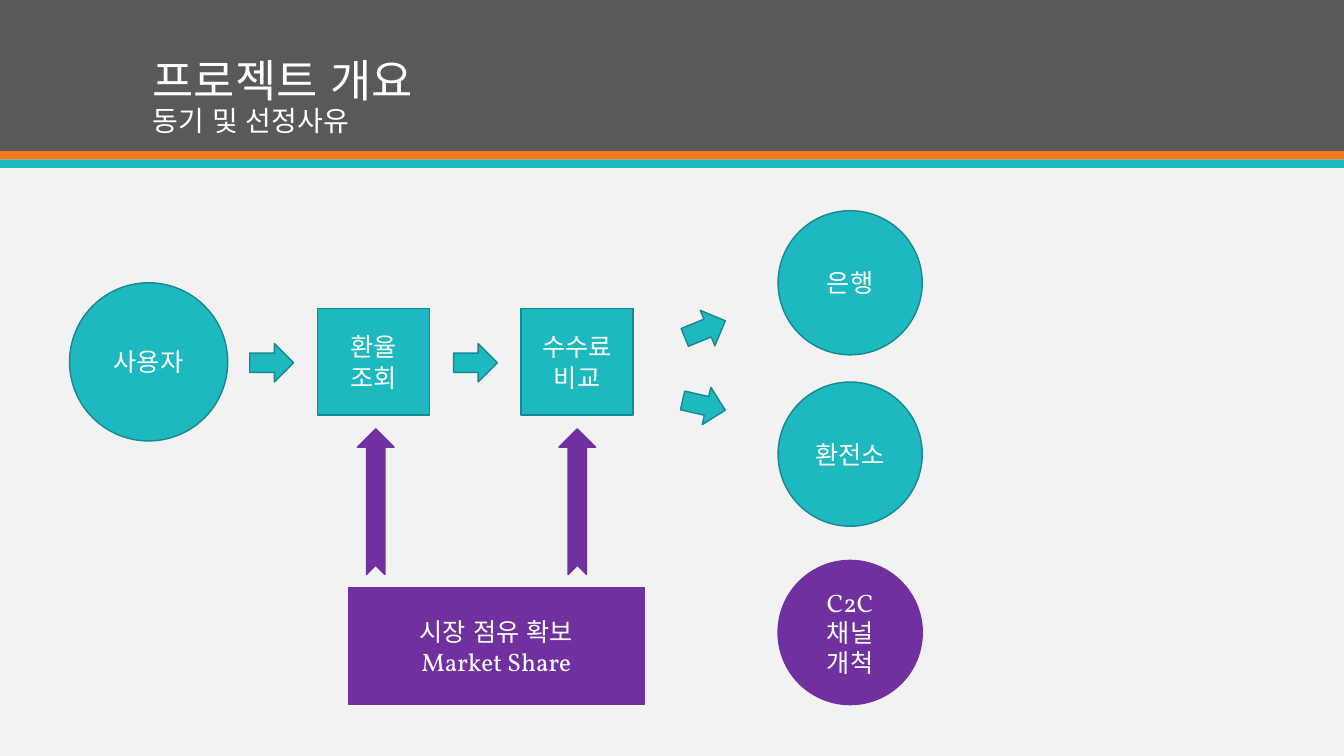
import pptx
import pptx.util
import pptx.dml.color
import pptx.enum.shapes
import pptx.enum.text
import pptx.enum.lang
import pptx.oxml.ns
import lxml.etree

Pt = pptx.util.Pt
SHAPE = pptx.enum.shapes.MSO_SHAPE
ALIGN = pptx.enum.text.PP_ALIGN
ANCHOR = pptx.enum.text.MSO_ANCHOR
TEAL, TEAL_EDGE, PURPLE = "1EB8C1", "16888F", "7030A0"
KOREAN_FONT = "Noto Sans CJK KR"

presentation = pptx.Presentation()
presentation.slide_width, presentation.slide_height = Pt(960), Pt(540)
slide = presentation.slides.add_slide(presentation.slide_layouts[6])


def paint(target, color, edge=None):
    """Give a fill or a shape its solid colour, and a shape its outline."""
    fill = getattr(target, "fill", target)
    fill.solid()
    fill.fore_color.rgb = pptx.dml.color.RGBColor.from_string(color)
    if edge:
        target.line.width = Pt(1)
        paint(target.line.fill, edge)
    elif fill is not target:
        target.line.fill.background()


def write(frame, text, size=18, font="Vollkorn", align=ALIGN.CENTER,
          anchor=ANCHOR.MIDDLE, spacing=None, sub=None, sub_size=None):
    """Write one paragraph per line; sub follows after a line break."""
    frame.word_wrap = True
    frame.vertical_anchor = anchor
    for number, line in enumerate(text.split("\n")):
        paragraph = frame.add_paragraph() if number else frame.paragraphs[0]
        paragraph.alignment = align
        paragraph.line_spacing = spacing
        parts = [(line, size)] + ([(sub, sub_size)] if sub else [])
        for position, (words, points) in enumerate(parts):
            if position:
                paragraph.add_line_break()
            run = paragraph.add_run()
            run.text = words
            run.font.size = Pt(points)
            run.font.name = font
            run.font.language_id = pptx.enum.lang.MSO_LANGUAGE_ID.KOREAN
            paint(run.font.fill, "FFFFFF")
            # East Asian typeface for the Korean letters
            east_asian = lxml.etree.Element(pptx.oxml.ns.qn("a:ea"), typeface=KOREAN_FONT)
            run.font._element.find(pptx.oxml.ns.qn("a:latin")).addnext(east_asian)


# Background and header bands
paint(slide.background.fill, "F2F2F2")
for top, height, color in [(0, 108, "595959"), (108, 6, "EF7920"), (114, 6, TEAL)]:
    band = slide.shapes.add_shape(SHAPE.RECTANGLE, 0, Pt(top), Pt(960), Pt(height))
    band.shadow.inherit = False
    paint(band, color)

# Title
title = slide.shapes.add_textbox(Pt(102), Pt(20), Pt(756), Pt(81.5))
write(title.text_frame, "프로젝트 개요", size=32, font=KOREAN_FONT, align=ALIGN.LEFT,
      anchor=ANCHOR.BOTTOM, spacing=0.9, sub="동기 및 선정사유", sub_size=20)

# Steps, parties and goals: kind, left, top, width, height, colours, text
nodes = [
    (SHAPE.RECTANGLE, 226.8, 220.3, 80, 76.3, TEAL, TEAL_EDGE, "환율 조회"),
    (SHAPE.RECTANGLE, 372.2, 220.3, 80, 76.3, TEAL, TEAL_EDGE, "수수료 비교"),
    (SHAPE.OVAL, 555.8, 150.5, 103, 103, TEAL, TEAL_EDGE, "은행"),
    (SHAPE.OVAL, 49.7, 202, 113, 113, TEAL, TEAL_EDGE, "사용자"),
    (SHAPE.OVAL, 555.8, 272.9, 103, 103, TEAL, TEAL_EDGE, "환전소"),
    (SHAPE.RECTANGLE, 249, 419.8, 211, 83.5, PURPLE, PURPLE, "시장 점유 확보\nMarket Share"),
    (SHAPE.OVAL, 555.8, 400.3, 103, 103, PURPLE, PURPLE, "C2C\n채널 개척"),
]
for kind, left, top, width, height, color, edge, text in nodes:
    node = slide.shapes.add_shape(kind, Pt(left), Pt(top), Pt(width), Pt(height))
    node.shadow.inherit = False
    paint(node, color, edge)
    write(node.text_frame, text)

# Flow arrows (teal) and support arrows (purple): left, top, rotation
flow = (SHAPE.RIGHT_ARROW, 31.3, 27.4, TEAL, TEAL_EDGE,
        [(178.4, 245.4, 0), (324, 245.4, 0), (488, 221.4, 337.7), (487.2, 275.8, 12.9)])
support = (SHAPE.NOTCHED_RIGHT_ARROW, 104, 26.2, PURPLE, PURPLE,
           [(216.4, 345.2, 270), (360.4, 345.2, 270)])
for kind, length, thickness, color, edge, places in (flow, support):
    for left, top, rotation in places:
        arrow = slide.shapes.add_shape(kind, Pt(left), Pt(top), Pt(length), Pt(thickness))
        arrow.shadow.inherit = False
        arrow.rotation = rotation
        paint(arrow, color, edge)

presentation.save("out.pptx")
